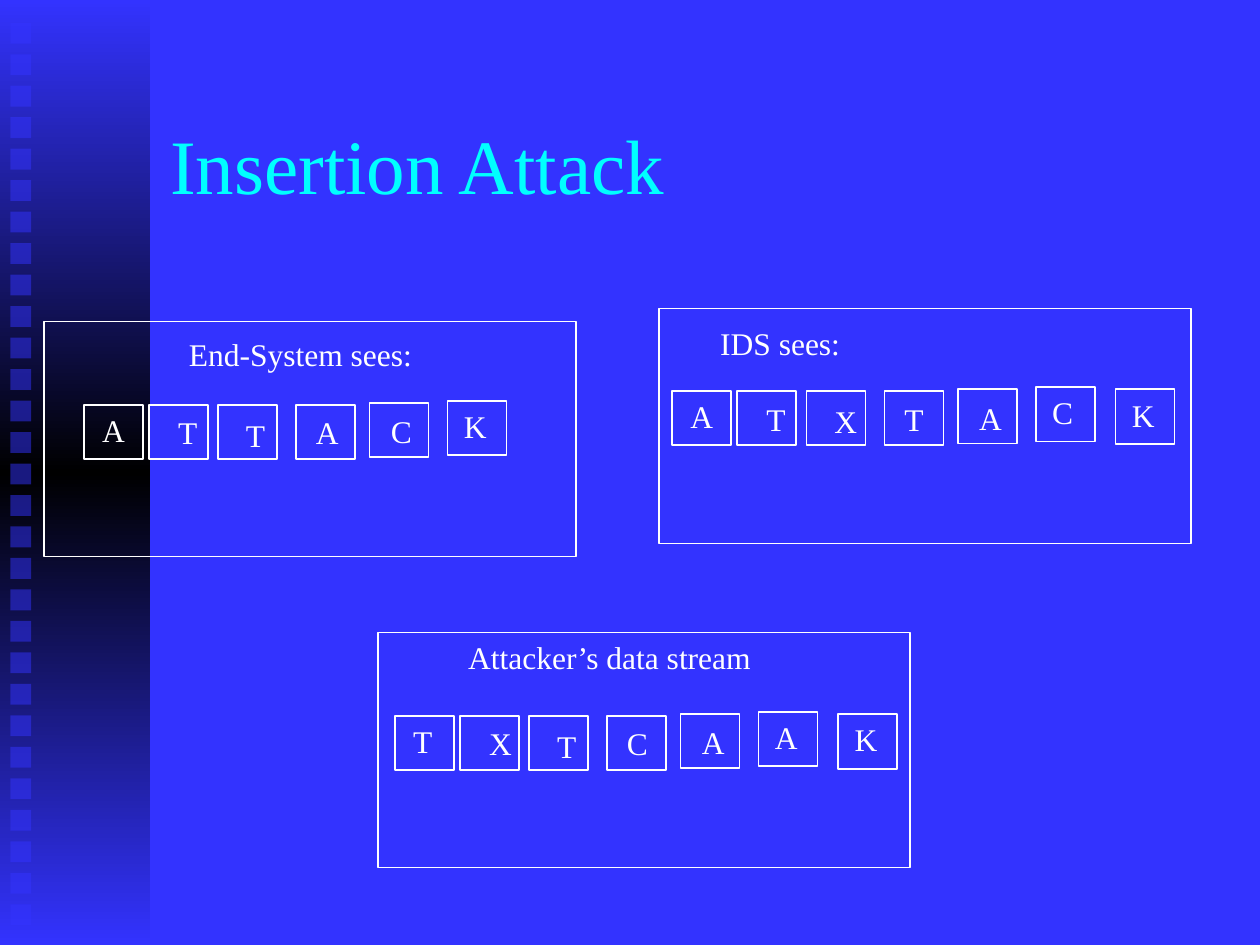
from copy import deepcopy

from lxml import etree
from pptx import Presentation
from pptx.dml.color import RGBColor
from pptx.enum.shapes import MSO_SHAPE
from pptx.enum.text import MSO_ANCHOR, MSO_AUTO_SIZE, PP_ALIGN
from pptx.oxml.ns import qn
from pptx.util import Cm, Pt

RECTANGLE = MSO_SHAPE.RECTANGLE
MIDDLE = MSO_ANCHOR.MIDDLE
NO_FIT, GROW = MSO_AUTO_SIZE.NONE, MSO_AUTO_SIZE.SHAPE_TO_FIT_TEXT
LEFT = PP_ALIGN.LEFT

BLUE = RGBColor(0x33, 0x33, 0xFF)
BLACK = RGBColor(0, 0, 0)
WHITE = RGBColor(0xFF, 0xFF, 0xFF)
CYAN = RGBColor(0, 0xFF, 0xFF)
FONT = "Times New Roman"

# Content: all lengths in cm
TITLE = "Insertion Attack"
PANELS = [
    # caption, packets, panel corner, caption corner and width, first packet
    ("End-System sees:", "ATTACK", (0.89, 6.48), (3.56, 6.63, 5.0), (1.69, 8.16)),
    ("IDS sees:", "ATXTACK", (13.29, 6.22), (14.27, 6.4, 2.92), (13.55, 7.88)),
    ("Attacker’s data stream", "TXTCAAK", (7.62, 12.75), (9.19, 12.73, 6.22), (7.96, 14.43)),
]
# Offsets from the first packet: frame x, frame y, letter x, letter y
PACKET_SLOTS = [
    (0, 0, 0.12, 0),
    (1.31, 0, 1.65, 0.05),
    (2.71, 0, 3.02, 0.1),
    (4.28, 0, 4.43, 0.05),
    (5.76, -0.04, 5.94, 0.03),
    (7.33, -0.08, 7.41, -0.08),
    (8.94, -0.03, 9.02, -0.03),
]
PANEL_SIZE = (10.72, 4.74)
PACKET_SIZE = (1.19, 1.1)
LETTER_WIDTH, TEXT_HEIGHT = 0.89, 1.02
SQUARE_COUNT, SQUARE_SIZE = 29, 0.42
FIRST_SQUARE, LAST_SQUARE = 0.46, 18.23


def add_rectangle(slide, left, top, width, height):
    rectangle = slide.shapes.add_shape(RECTANGLE, Cm(left), Cm(top), Cm(width), Cm(height))
    rectangle.shadow.inherit = False
    return rectangle


def add_frame(slide, left, top, size):
    frame = add_rectangle(slide, left, top, *size)
    frame.fill.background()
    frame.line.color.rgb = WHITE
    frame.line.width = Pt(1)


def style(paragraph, size, color):
    for run in paragraph.runs:
        run.font.name = FONT
        run.font.size = Pt(size)
        run.font.color.rgb = color


def add_text(slide, text, left, top, width, wrap):
    box = slide.shapes.add_textbox(Cm(left), Cm(top), Cm(width), Cm(TEXT_HEIGHT))
    frame = box.text_frame
    frame.text = text
    frame.word_wrap = wrap
    frame.auto_size = GROW
    style(frame.paragraphs[0], 18, WHITE)


def add_side_band(slide):
    band = add_rectangle(slide, 0, 0, 3.02, 19.05)
    band.line.fill.background()
    band.fill.gradient()
    band.fill.gradient_angle = 90
    stops = next(band._element.iter(qn("a:gsLst")))
    stops.append(deepcopy(stops[0]))
    for stop, position, color in zip(band.fill.gradient_stops, (0, 0.5, 1), (BLUE, BLACK, BLUE)):
        stop.position = position
        stop.color.rgb = color

    step = (LAST_SQUARE - FIRST_SQUARE) / (SQUARE_COUNT - 1)
    for number in range(SQUARE_COUNT):
        square = add_rectangle(slide, 0.21, FIRST_SQUARE + number * step, SQUARE_SIZE, SQUARE_SIZE)
        square.line.fill.background()
        square.fill.solid()
        square.fill.fore_color.rgb = BLUE
        color = next(square._element.iter(qn("a:srgbClr")))
        etree.SubElement(color, qn("a:alpha"), val="50000")


def add_title(slide):
    title = slide.shapes.title
    title.left, title.top, title.width, title.height = Cm(3.18), Cm(1.7), Cm(21.59), Cm(3.18)
    frame = title.text_frame
    frame.text = TITLE
    frame.vertical_anchor = MIDDLE
    frame.auto_size = NO_FIT
    frame.paragraphs[0].alignment = LEFT
    style(frame.paragraphs[0], 44, CYAN)


def add_panel(slide, caption, packets, corner, caption_place, first_packet):
    add_frame(slide, *corner, PANEL_SIZE)
    add_text(slide, caption, *caption_place, wrap=False)
    x, y = first_packet
    for letter, (frame_x, frame_y, letter_x, letter_y) in zip(packets, PACKET_SLOTS):
        add_frame(slide, x + frame_x, y + frame_y, PACKET_SIZE)
        add_text(slide, letter, x + letter_x, y + letter_y, LETTER_WIDTH, wrap=True)


def main():
    presentation = Presentation()
    presentation.slide_width, presentation.slide_height = Cm(25.4), Cm(19.05)
    slide = presentation.slides.add_slide(presentation.slide_layouts[5])
    slide.background.fill.solid()
    slide.background.fill.fore_color.rgb = BLUE

    add_side_band(slide)
    add_title(slide)
    for panel in PANELS:
        add_panel(slide, *panel)
    presentation.save("out.pptx")


if __name__ == "__main__":
    main()
